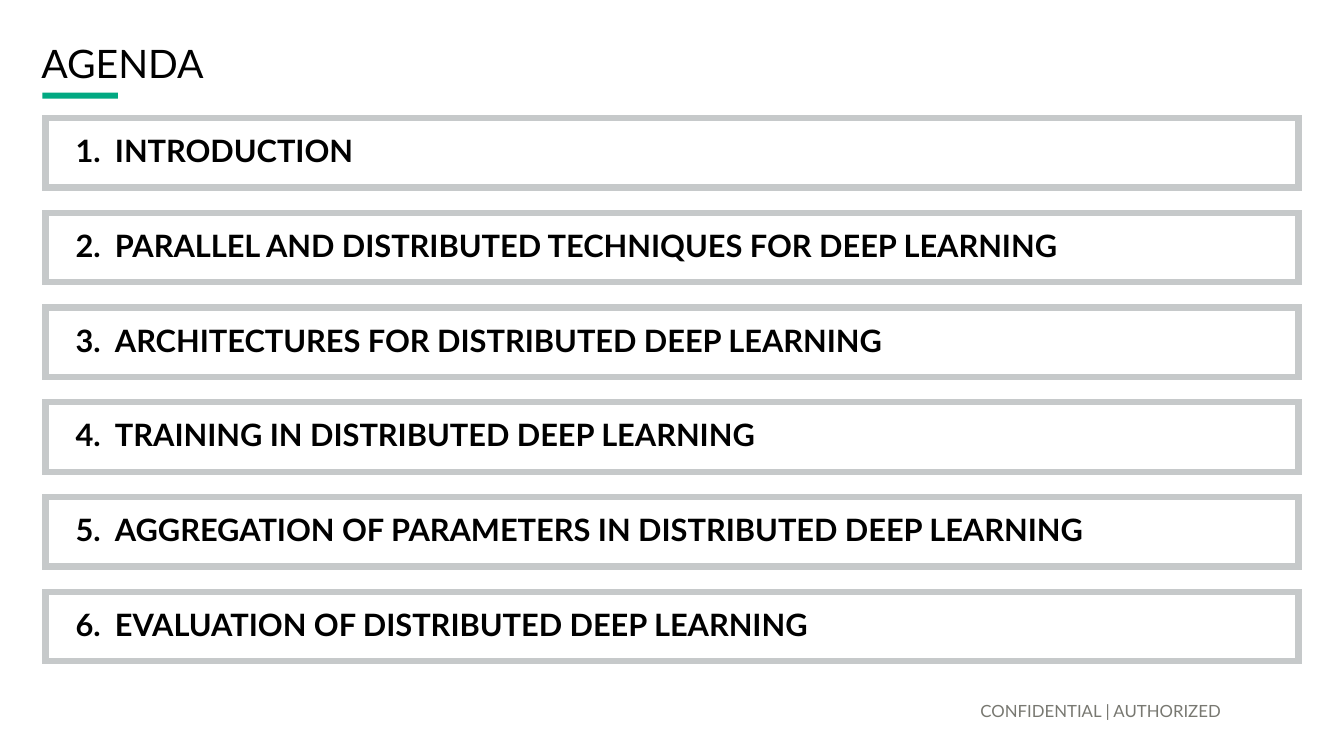
from lxml import etree
from pptx import Presentation
from pptx.dml.color import RGBColor
from pptx.enum.shapes import MSO_SHAPE
from pptx.enum.text import MSO_ANCHOR, MSO_AUTO_SIZE, PP_ALIGN
from pptx.oxml.ns import qn
from pptx.util import Inches, Pt

RECTANGLE = MSO_SHAPE.RECTANGLE
MIDDLE, BOTTOM = MSO_ANCHOR.MIDDLE, MSO_ANCHOR.BOTTOM
LEFT, RIGHT = PP_ALIGN.LEFT, PP_ALIGN.RIGHT
NO_AUTOFIT = MSO_AUTO_SIZE.NONE

COLOURS = {"text": "000000", "accent": "01A982", "frame": "C6C9CA", "footer": "787871"}
FONT = "Lato"
SLIDE_WIDTH, SLIDE_HEIGHT = 13.33, 7.5
SECTION_LAYOUT = 2
MARGIN = 0.45
ROW_TOP, ROW_HEIGHT, ROW_PITCH = 1.17, 0.69, 0.94
NUMBER_WIDTH = 0.39
FRAME_WEIGHT = 4.5

AGENDA = [
    "INTRODUCTION",
    "PARALLEL AND DISTRIBUTED TECHNIQUES FOR DEEP LEARNING",
    "ARCHITECTURES FOR DISTRIBUTED DEEP LEARNING",
    "TRAINING IN DISTRIBUTED DEEP LEARNING",
    "AGGREGATION OF PARAMETERS IN DISTRIBUTED DEEP LEARNING",
    "EVALUATION OF DISTRIBUTED DEEP LEARNING",
]


def colour(name):
    return RGBColor.from_string(COLOURS[name])


def place(box, left, top, width, height):
    box.left, box.top = Inches(left), Inches(top)
    box.width, box.height = Inches(width), Inches(height)


def set_frame(box):
    box.fill.background()
    box.line.color.rgb = colour("frame")
    box.line.width = Pt(FRAME_WEIGHT)
    outline = box._element.spPr.find(qn("a:ln"))
    etree.SubElement(outline, qn("a:miter"), lim="800000")


def set_hanging_number(para):
    indent = Inches(NUMBER_WIDTH)
    properties = para._p.get_or_add_pPr()
    properties.set("marL", str(indent))
    properties.set("indent", str(-indent))
    etree.SubElement(properties, qn("a:buNone"))
    tabs = etree.SubElement(properties, qn("a:tabLst"))
    etree.SubElement(tabs, qn("a:tab"), pos=str(indent), algn="l")


def write(box, text, size, name="text", bold=False, align=LEFT,
          anchor=MIDDLE, side=0.1, edge=0.1, numbered=False):
    frame = box.text_frame
    frame.word_wrap = True
    frame.auto_size = NO_AUTOFIT
    frame.vertical_anchor = anchor
    frame.margin_left = frame.margin_right = Inches(side)
    frame.margin_top = frame.margin_bottom = Inches(edge)
    para = frame.paragraphs[0]
    if numbered:
        set_hanging_number(para)
    para.alignment = align
    para.line_spacing = 0.9
    para.space_before = Pt(0)
    span = para.add_run()
    span.text = text
    span.font.name = FONT
    span.font.size = Pt(size)
    span.font.bold = bold
    span.font.color.rgb = colour(name)


def add_title(page, text):
    title = page.shapes.title
    place(title, 0.31, 0.43, SLIDE_WIDTH - MARGIN - 0.31, 0.44)
    write(title, text, 28)
    underline = page.shapes.add_shape(
        RECTANGLE, Inches(0.42), Inches(0.92), Inches(0.75), Inches(0.06))
    underline.shadow.inherit = False
    underline.fill.solid()
    underline.fill.fore_color.rgb = colour("accent")
    underline.line.fill.background()


def add_agenda(page, items):
    body = page.slide_layout.placeholders[1]
    for _ in items[1:]:
        page.shapes.clone_placeholder(body)
    boxes = [box for box in page.placeholders if box.placeholder_format.idx == 1]
    for row, (box, item) in enumerate(zip(boxes, items)):
        place(box, MARGIN, ROW_TOP + row * ROW_PITCH, SLIDE_WIDTH - 2 * MARGIN, ROW_HEIGHT)
        set_frame(box)
        write(box, f"{row + 1}.\t{item}", 22, bold=True, side=0.3, numbered=True)


def add_footer(page, text):
    box = page.shapes.add_textbox(Inches(4.07), Inches(6.7), Inches(8.14), Inches(0.45))
    write(box, text, 12, "footer", align=RIGHT, anchor=BOTTOM, edge=0)


def main():
    deck = Presentation()
    deck.slide_width, deck.slide_height = Inches(SLIDE_WIDTH), Inches(SLIDE_HEIGHT)
    page = deck.slides.add_slide(deck.slide_layouts[SECTION_LAYOUT])
    add_agenda(page, AGENDA)
    add_title(page, "AGENDA")
    add_footer(page, "CONFIDENTIAL | AUTHORIZED")
    deck.save("out.pptx")


if __name__ == "__main__":
    main()
